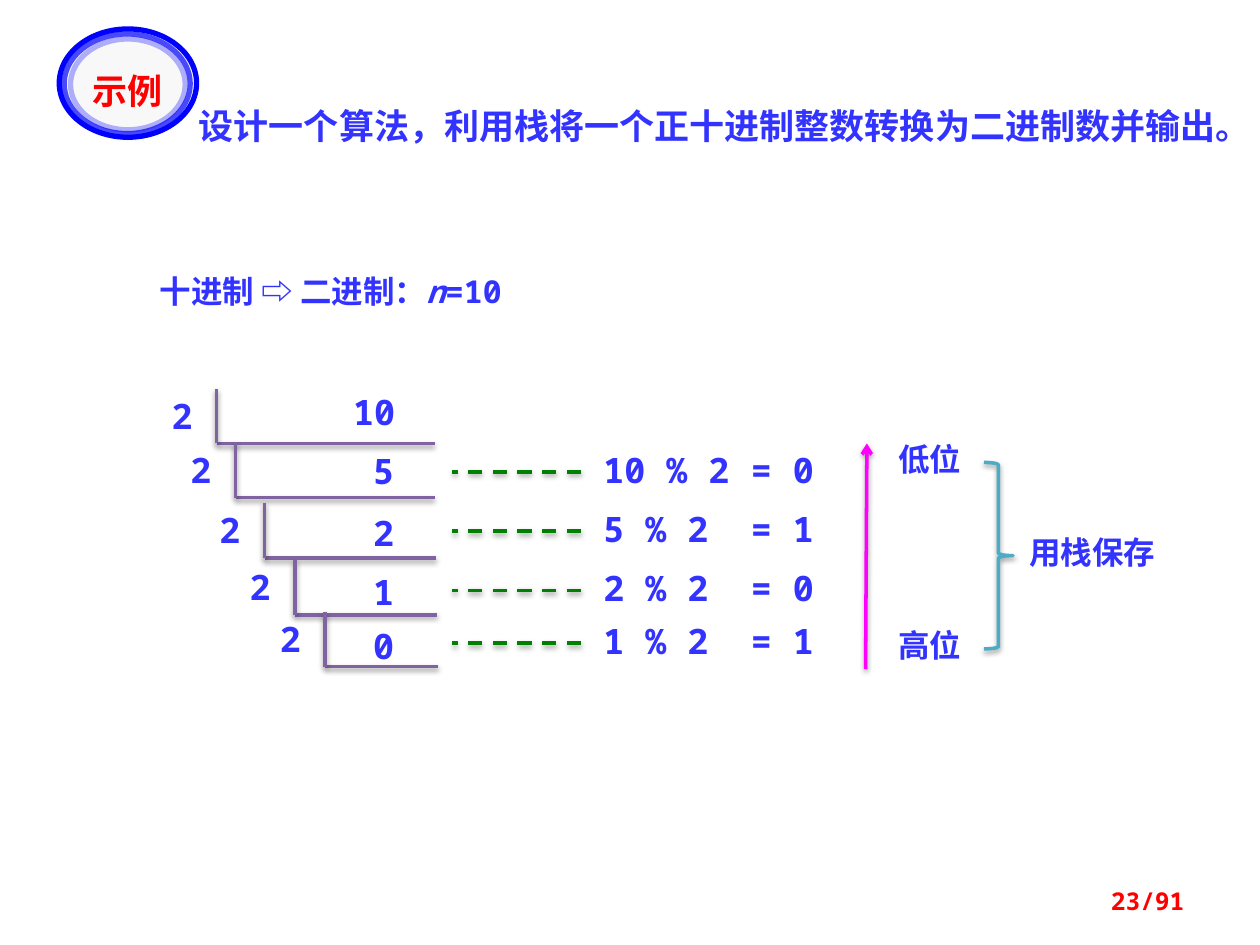
from dataclasses import dataclass
from typing import NamedTuple, Optional

from pptx import Presentation
from pptx import util as u
from pptx.dml.color import RGBColor
from pptx.enum import dml, shapes, text
from pptx.oxml.ns import qn
from lxml import etree


@dataclass(frozen=True)
class Theme:
    ink: str = "3333FF"
    accent: str = "FF0000"
    ring: str = "0000FF"
    badge: str = "F8F8F8"
    ladder: str = "8064A2"
    dash: str = "008000"
    arrow: str = "FF00FF"
    brace: str = "4BACC6"
    mono: str = "Noto Sans Mono"
    chinese: str = "Noto Sans CJK SC"
    japanese: str = "Noto Sans CJK JP"
    large: int = 20
    medium: int = 18
    small: int = 14


class Box(NamedTuple):
    column: float
    row: float
    columns: float
    rows: float


class Step(NamedTuple):
    column: float
    base: float
    end: float
    value: str
    value_row: float


class Remainder(NamedTuple):
    row: float
    division: str
    result: str


class Ring(NamedTuple):
    box: Box
    opacity: int
    fill: Optional[str] = None


THEME = Theme()
COLUMNS, ROWS = 100, 75
LINE_ROWS = 4.4

RINGS = [
    Ring(Box(4.7, 2.3, 10.9, 8.6), 100, THEME.badge),
    Ring(Box(5.1, 2.7, 10, 7.9), 70),
    Ring(Box(5.6, 3.1, 9.1, 7.2), 30),
]
STEPS = [
    Step(17.2, 35.2, 34.5, "10", 30.5),
    Step(18.7, 39.5, 34.5, "5", 35.2),
    Step(21, 44.3, 34.6, "2", 40.1),
    Step(23.4, 48.8, 34.7, "1", 44.8),
    Step(25.8, 52.9, 34.8, "0", 49.1),
]
REMAINDERS = [
    Remainder(35.1, "10 % 2", "= 0"),
    Remainder(39.8, "5 % 2", "= 1"),
    Remainder(44.5, "2 % 2", "= 0"),
    Remainder(48.7, "1 % 2", "= 1"),
]

presentation = Presentation()
presentation.slide_width = u.Inches(10)
presentation.slide_height = u.Inches(7.5)
slide = presentation.slides.add_slide(presentation.slide_layouts[6])


def across(columns: float) -> int:
    return round(presentation.slide_width * columns / COLUMNS)


def down(rows: float) -> int:
    return round(presentation.slide_height * rows / ROWS)


def place(box: Box) -> tuple:
    return across(box.column), down(box.row), across(box.columns), down(box.rows)


def add_shadow(shape) -> None:
    properties = shape._element.spPr
    effects = properties.find(qn("a:effectLst"))
    if effects is None:
        effects = etree.SubElement(properties, qn("a:effectLst"))
    shadow = etree.SubElement(effects, qn("a:outerShdw"), blurRad=str(u.Pt(3.1)),
                              dist=str(u.Pt(1.6)), dir="5400000", rotWithShape="0")
    color = etree.SubElement(shadow, qn("a:srgbClr"), val="000000")
    etree.SubElement(color, qn("a:alpha"), val="38000")


def write(content, box: Box, *, size: int = THEME.large, color: str = THEME.ink,
          font: str = THEME.mono, east_asian: str = THEME.chinese,
          align=text.PP_ALIGN.LEFT, anchor=text.MSO_ANCHOR.TOP,
          tab: Optional[float] = None) -> None:
    frame = slide.shapes.add_textbox(*place(box)).text_frame
    frame.word_wrap = True
    frame.vertical_anchor = anchor
    paragraph = frame.paragraphs[0]
    paragraph.alignment = align
    if tab is not None:
        tabs = etree.SubElement(paragraph._p.get_or_add_pPr(), qn("a:tabLst"))
        etree.SubElement(tabs, qn("a:tab"), pos=str(across(tab)), algn="l")
    pieces = [(content, False)] if isinstance(content, str) else content
    for piece, italic in pieces:
        run = paragraph.add_run()
        run.text = piece
        run.font.size = u.Pt(size)
        run.font.bold = True
        run.font.italic = italic
        run.font.name = font
        run.font.color.rgb = RGBColor.from_string(color)
        etree.SubElement(run.font._element, qn("a:ea"), typeface=east_asian)


def draw_line(start: tuple, end: tuple, color: str, *, dashed: bool = False,
              arrow: bool = False) -> None:
    connector = slide.shapes.add_connector(
        shapes.MSO_CONNECTOR.STRAIGHT,
        across(start[0]), down(start[1]), across(end[0]), down(end[1]))
    connector.line.color.rgb = RGBColor.from_string(color)
    connector.line.width = u.Pt(2)
    if dashed:
        connector.line.dash_style = dml.MSO_LINE.DASH
    if arrow:
        etree.SubElement(connector.line._get_or_add_ln(), qn("a:tailEnd"), type="arrow")
    add_shadow(connector)


def draw_outline(kind, box: Box, color: str, width: float, *,
                 fill: Optional[str] = None, opacity: int = 100):
    shape = slide.shapes.add_shape(kind, *place(box))
    shape.shadow.inherit = False
    if fill:
        shape.fill.solid()
        shape.fill.fore_color.rgb = RGBColor.from_string(fill)
    else:
        shape.fill.background()
    shape.line.color.rgb = RGBColor.from_string(color)
    shape.line.width = u.Pt(width)
    if opacity < 100:
        tone = shape.line._get_or_add_ln().find(".//" + qn("a:srgbClr"))
        etree.SubElement(tone, qn("a:alpha"), val=str(opacity * 1000))
    return shape


def draw_step(step: Step) -> None:
    corner = (step.column, step.base)
    draw_line(corner, (step.end, step.base), THEME.ladder)
    draw_line((step.column, step.base - 4.35), corner, THEME.ladder)
    write("2", Box(step.column - 4.7, step.base - LINE_ROWS, 3.9, LINE_ROWS),
          align=text.PP_ALIGN.CENTER)
    columns = 4.8 + 1.5 * len(step.value)
    write(step.value, Box(33.6 - columns, step.value_row, columns, LINE_ROWS),
          align=text.PP_ALIGN.CENTER)


def draw_remainder(remainder: Remainder) -> None:
    middle = remainder.row + 2.35
    draw_line((46.1, middle), (35.9, middle), THEME.dash, dashed=True)
    write(f"{remainder.division}\t{remainder.result}",
          Box(46.9, remainder.row, 18.8, LINE_ROWS), tab=11.7)


def main() -> None:
    for ring in RINGS:
        draw_outline(shapes.MSO_SHAPE.OVAL, ring.box, THEME.ring, 3,
                     fill=ring.fill, opacity=ring.opacity)
    write("示例", Box(5.3, 5, 9.6, 3.9), color=THEME.accent, font=THEME.japanese,
          east_asian=THEME.japanese, align=text.PP_ALIGN.CENTER)
    write("设计一个算法，利用栈将一个正十进制整数转换为二进制数并输出。",
          Box(14.8, 7.8, 83.6, LINE_ROWS))
    write([("十进制 ⇨ 二进制：", False), ("n", True), ("=10", False)],
          Box(11.7, 21.1, 32.8, 4), size=THEME.medium)

    for step in STEPS:
        draw_step(step)
    for remainder in REMAINDERS:
        draw_remainder(remainder)

    draw_line((68.7, 53.1), (68.8, 35.2), THEME.arrow, arrow=True)
    brace = draw_outline(shapes.MSO_SHAPE.RIGHT_BRACE, Box(78.1, 36.7, 2.3, 14.8),
                         THEME.brace, 2)
    add_shadow(brace)
    for label, box in [("低位", Box(70.3, 34.4, 7.8, 4)),
                       ("高位", Box(70.3, 49.2, 7.8, 4)),
                       ("用栈保存", Box(80.7, 41.8, 14.8, 4))]:
        write(label, box, size=THEME.medium, font=THEME.chinese)

    write("23/91", Box(71.7, 69.5, 23.3, 4), size=THEME.small, color=THEME.accent,
          align=text.PP_ALIGN.RIGHT, anchor=text.MSO_ANCHOR.MIDDLE)
    presentation.save("out.pptx")


if __name__ == "__main__":
    main()
